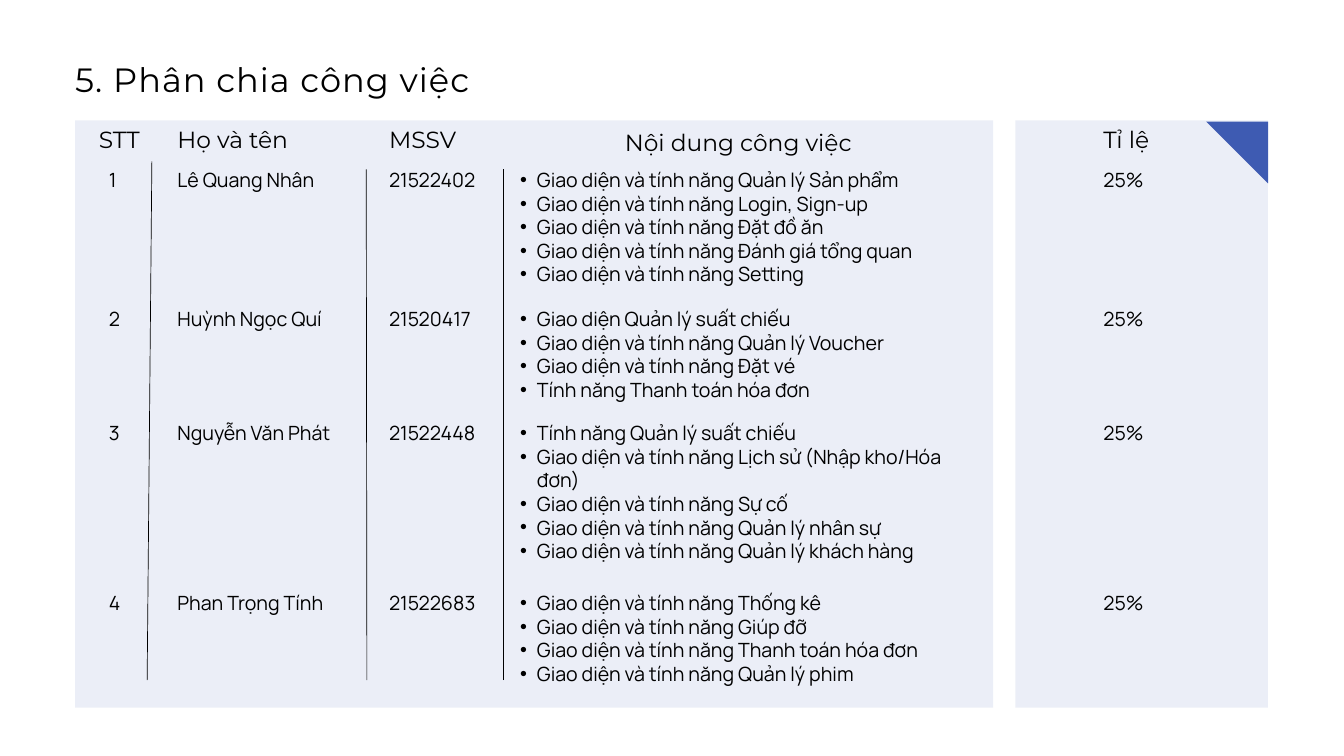
from lxml.etree import SubElement
from pptx import Presentation
from pptx.dml.color import RGBColor
from pptx.enum.shapes import MSO_CONNECTOR, MSO_SHAPE
from pptx.enum.text import MSO_AUTO_SIZE
from pptx.oxml.ns import qn
from pptx.util import Inches, Pt

BLUE = RGBColor(0x3E, 0x5B, 0xB2)
BLACK = RGBColor(0, 0, 0)
HEAD_FONT, BODY_FONT = "Montserrat", "Manrope"

# Left edges of the columns
NUMBER, NAME, STUDENT_ID, TASKS, SHARE = 1.62, 2.64, 5.79, 7.49, 16.42

# Header text, left, top, width
HEADERS = [
    ("STT", 1.47, 1.87, 1.14),
    ("Họ và tên", NAME, 1.87, 1.86),
    ("MSSV", STUDENT_ID, 1.87, 1.14),
    ("Nội dung công việc", 9.3, 1.91, 3.71),
    ("Tỉ lệ", SHARE, 1.87, 1.14),
]

# Top, name, student number, tasks
MEMBERS = [
    (2.5, "Lê Quang Nhân", "21522402", [
        "Giao diện và tính năng Quản lý Sản phẩm",
        "Giao diện và tính năng Login, Sign-up",
        "Giao diện và tính năng Đặt đồ ăn",
        "Giao diện và tính năng Đánh giá tổng quan",
        "Giao diện và tính năng Setting"]),
    (4.57, "Huỳnh Ngọc Quí", "21520417", [
        "Giao diện Quản lý suất chiếu",
        "Giao diện và tính năng Quản lý Voucher",
        "Giao diện và tính năng Đặt vé",
        "Tính năng Thanh toán hóa đơn"]),
    (6.27, "Nguyễn Văn Phát", "21522448", [
        "Tính năng Quản lý suất chiếu",
        "Giao diện và tính năng Lịch sử (Nhập kho/Hóa đơn)",
        "Giao diện và tính năng Sự cố",
        "Giao diện và tính năng Quản lý nhân sự",
        "Giao diện và tính năng Quản lý khách hàng"]),
    (8.8, "Phan Trọng Tính", "21522683", [
        "Giao diện và tính năng Thống kê",
        "Giao diện và tính năng Giúp đỡ",
        "Giao diện và tính năng Thanh toán hóa đơn",
        "Giao diện và tính năng Quản lý phim"]),
]

# Column rules: bottom x, top x, top y
RULES = [(2.19, 2.26, 2.4), (5.46, 5.45, 2.52), (7.49, 7.49, 2.52)]


def add_text(slide, lines, left, top, width, size=21, font=BODY_FONT, bullets=False):
    spacing = size * 1.2
    box = slide.shapes.add_textbox(Inches(left), Inches(top), Inches(width),
                                   Pt(spacing * len(lines)))
    tf = box.text_frame
    tf.word_wrap = True
    tf.auto_size = MSO_AUTO_SIZE.SHAPE_TO_FIT_TEXT
    tf.margin_left = tf.margin_top = tf.margin_right = tf.margin_bottom = 0
    tf.text = "\n".join(lines)
    for p in tf.paragraphs:
        p.line_spacing = Pt(spacing)
        p.font.size = Pt(size)
        p.font.name = font
        p.font.color.rgb = BLACK
        if bullets:
            add_bullet(p)
    return tf


def add_bullet(p):
    p.level = 1
    pPr = p._p.get_or_add_pPr()
    pPr.set("marL", str(Inches(0.5)))
    pPr.set("indent", str(Inches(-0.25)))
    bullet_font = pPr.makeelement(qn("a:buFont"), {"typeface": "Arial"})
    bullet = pPr.makeelement(qn("a:buChar"), {"char": "•"})
    # Bullet settings come before the default run properties
    run_defaults = pPr.find(qn("a:defRPr"))
    run_defaults.addprevious(bullet_font)
    run_defaults.addprevious(bullet)


def fill_plain(sp):
    sp.shadow.inherit = False
    sp.fill.solid()
    sp.fill.fore_color.rgb = BLUE
    sp.line.fill.background()


def add_panel(slide, left, top, width, height):
    sp = slide.shapes.add_shape(MSO_SHAPE.RECTANGLE, Inches(left), Inches(top),
                                Inches(width), Inches(height))
    fill_plain(sp)
    color = sp._element.spPr.find(qn("a:solidFill"))[0]
    SubElement(color, qn("a:alpha"), val="10000")


def add_corner(slide, right, top, side):
    builder = slide.shapes.build_freeform(Inches(right - side), Inches(top))
    builder.add_line_segments([(Inches(right), Inches(top)),
                               (Inches(right), Inches(top + side))])
    fill_plain(builder.convert_to_shape())


def add_title(slide, left, top, width):
    tf = add_text(slide, ["5. Phân chia công việc"], left, top, width, 36, HEAD_FONT)
    tf.paragraphs[0].runs[0]._r.get_or_add_rPr().set("spc", "110")


def add_member(slide, number, top, name, student_id, tasks):
    add_text(slide, ["25%"], SHARE, top, 1.14)
    add_text(slide, [str(number)], NUMBER, top, 1.14)
    add_text(slide, [name], NAME, top, 3.1)
    add_text(slide, [student_id], STUDENT_ID, top, 1.53)
    add_text(slide, tasks, TASKS, top, 7.21, bullets=True)


def add_rule(slide, bottom_x, top_x, top, bottom=10.12):
    line = slide.shapes.add_connector(MSO_CONNECTOR.STRAIGHT, Inches(bottom_x),
                                      Inches(bottom), Inches(top_x), Inches(top))
    line.line.color.rgb = BLACK
    line.line.width = Pt(0.75)
    SubElement(line._element.spPr, qn("a:effectLst"))


def main():
    prs = Presentation()
    prs.slide_width, prs.slide_height = Inches(20), Inches(11.25)
    slide = prs.slides.add_slide(prs.slide_layouts[6])

    # Panels, title and corner
    add_panel(slide, 1.12, 1.79, 13.66, 8.74)
    add_panel(slide, 15.11, 1.79, 3.76, 8.74)
    add_title(slide, 1.12, 0.88, 13.57)
    add_corner(slide, 18.87, 1.81, 0.92)

    # Column headers
    for text, left, top, width in HEADERS:
        add_text(slide, [text], left, top, width, 25, HEAD_FONT)

    # Team members
    for number, member in enumerate(MEMBERS, start=1):
        add_member(slide, number, *member)

    # Lines between columns
    for rule in RULES:
        add_rule(slide, *rule)

    prs.save("out.pptx")


if __name__ == "__main__":
    main()
